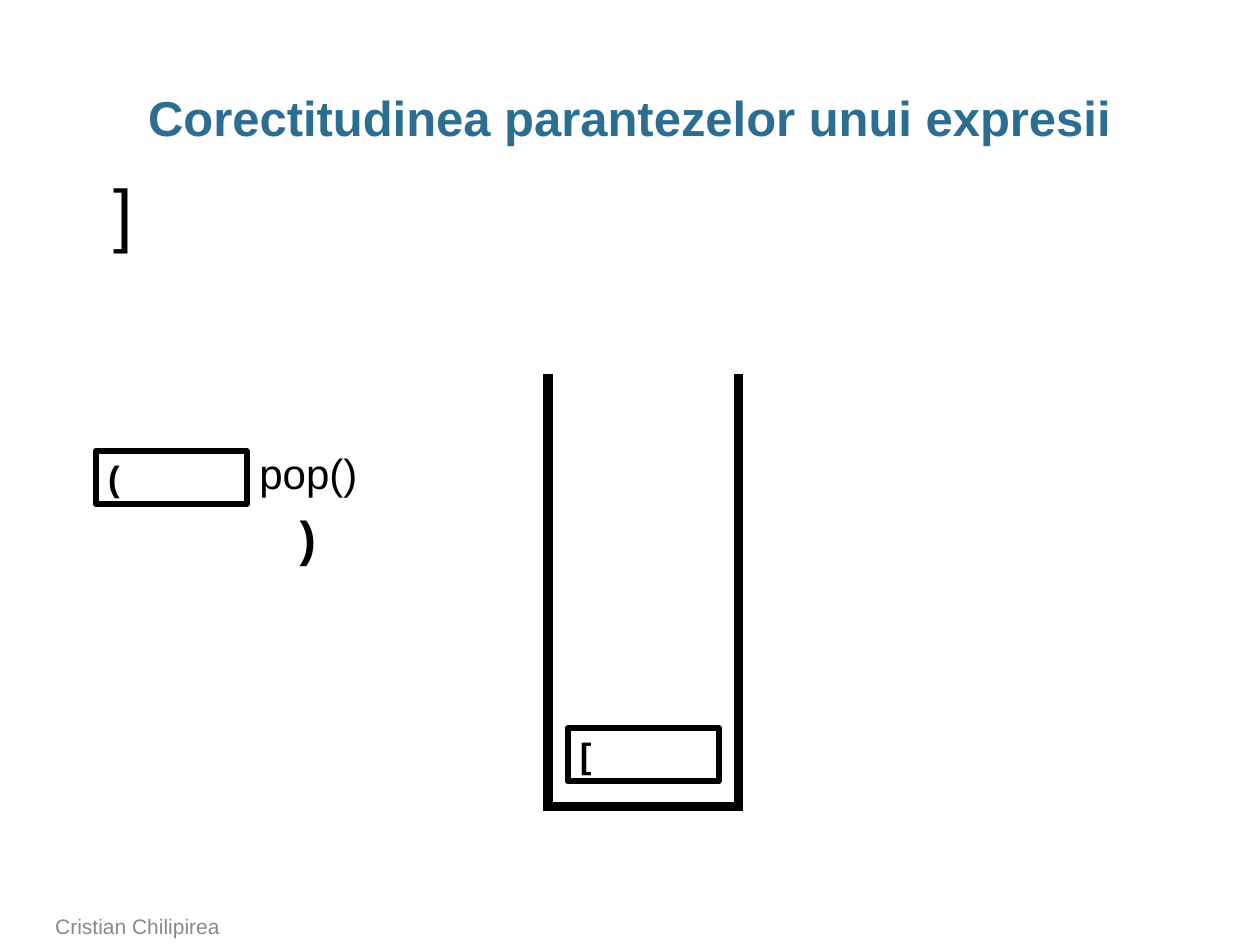
from lxml.etree import SubElement
from pptx import Presentation
from pptx.dml.color import RGBColor
from pptx.enum.shapes import MSO_CONNECTOR, MSO_SHAPE
from pptx.enum.text import MSO_ANCHOR, MSO_AUTO_SIZE, PP_ALIGN
from pptx.oxml.ns import qn
from pptx.util import Inches, Pt

COLORS = {"title": "2C6D92", "ink": "000000", "footer": "898989"}
CELL_WIDTH, CELL_HEIGHT = 1.2, 0.42


def rgb(name):
    """Return the named palette colour."""
    return RGBColor.from_string(COLORS[name])


def write(holder, text, size=20, color="ink", bold=False, align=PP_ALIGN.LEFT,
          anchor=MSO_ANCHOR.TOP, wrap=True, spacing=None):
    """Write one formatted paragraph into a shape."""
    frame = holder.text_frame
    frame.auto_size = MSO_AUTO_SIZE.NONE if wrap else MSO_AUTO_SIZE.SHAPE_TO_FIT_TEXT
    frame.word_wrap = wrap
    frame.vertical_anchor = anchor
    paragraph = frame.paragraphs[0]
    paragraph.alignment = align
    paragraph.line_spacing = spacing
    run = paragraph.add_run()
    run.text = text
    run.font.name = "Arial"
    run.font.size = Pt(size)
    run.font.bold = bold
    run.font.color.rgb = rgb(color)


def add_label(slide, box, text, **style):
    """Add a text box that fills the given box."""
    label = slide.shapes.add_textbox(*map(Inches, box))
    write(label, text, **style)


def add_title(slide, box, text):
    """Place and format the title placeholder."""
    title = slide.shapes.title
    title.left, title.top, title.width, title.height = map(Inches, box)
    frame = title.text_frame
    frame.margin_left = frame.margin_right = 0
    write(title, text, size=28, color="title", bold=True,
          align=PP_ALIGN.CENTER, spacing=0.95)


def add_cell(slide, left, top, symbol):
    """Add one outlined stack element holding a symbol."""
    cell = slide.shapes.add_shape(
        MSO_SHAPE.RECTANGLE,
        *map(Inches, (left, top, CELL_WIDTH, CELL_HEIGHT)))
    cell.shadow.inherit = False
    cell.fill.background()
    cell.line.color.rgb = rgb("ink")
    cell.line.width = Pt(3.5)
    write(cell, symbol, bold=True, anchor=MSO_ANCHOR.MIDDLE)


def add_wall(slide, start, end):
    """Add one thick side of the stack."""
    wall = slide.shapes.add_connector(
        MSO_CONNECTOR.STRAIGHT, *map(Inches, (*start, *end)))
    wall.line.color.rgb = rgb("ink")
    wall.line.width = Pt(5.5)
    SubElement(wall.element.spPr, qn("a:effectLst"))


def add_stack(slide, box, symbol):
    """Draw an open stack with one element near its floor."""
    left, top, width, height = box
    right, floor, overhang = left + width, top + height, 0.04
    add_wall(slide, (left, top), (left, floor))
    add_wall(slide, (right + overhang, floor), (left - overhang, floor))
    add_wall(slide, (right, top), (right, floor))
    add_cell(slide, left + (width - CELL_WIDTH) / 2,
             floor - CELL_HEIGHT - 0.2, symbol)


def add_popped(slide, box):
    """Show the popped element beside its call and the matching bracket."""
    left, top, width, height = box
    call_left = left + CELL_WIDTH
    add_cell(slide, left, top + 0.08, "(")
    add_label(slide, (call_left, top, width - CELL_WIDTH, 0.5), "pop()",
              size=24, wrap=False)
    add_label(slide, (call_left + 0.32, top + height - 0.57, 0.33, 0.57), ")",
              size=28, bold=True, wrap=False)


def main():
    """Build and save the slide."""
    deck = Presentation()
    deck.slide_width, deck.slide_height = Inches(10), Inches(7.5)
    slide = deck.slides.add_slide(deck.slide_layouts[5])
    add_title(slide, (0.34, 0.68, 9.31, 0.5),
              "Corectitudinea parantezelor unui expresii")
    add_label(slide, (0.34, 7.22, 7.37, 0.28), "Cristian Chilipirea",
              size=12, color="footer", anchor=MSO_ANCHOR.BOTTOM)
    add_stack(slide, (4.35, 2.97, 1.51, 3.43), "[")
    add_label(slide, (0.8, 1.3, 0.36, 0.77), "]", size=40, wrap=False)
    add_popped(slide, (0.76, 3.5, 2.19, 1.05))
    deck.save("out.pptx")


if __name__ == "__main__":
    main()
